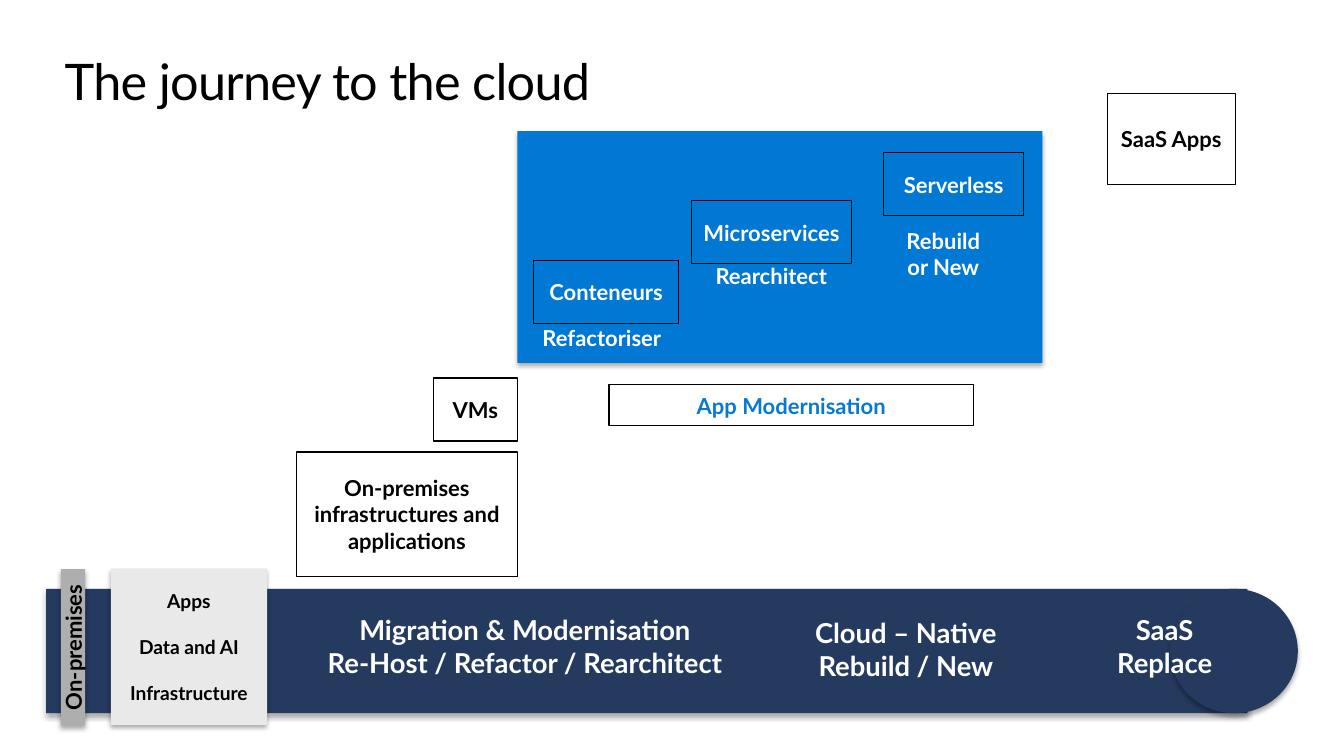
from pptx import Presentation
from pptx.dml.color import RGBColor
from pptx.enum.shapes import MSO_SHAPE
from pptx.enum.text import MSO_ANCHOR, PP_ALIGN
from pptx.oxml import parse_xml
from pptx.oxml.ns import nsdecls, qn
from pptx.util import Inches, Pt

RECT, CIRCLE = MSO_SHAPE.RECTANGLE, MSO_SHAPE.FLOWCHART_CONNECTOR
LEFT, CENTER = PP_ALIGN.LEFT, PP_ALIGN.CENTER
TOP, MIDDLE = MSO_ANCHOR.TOP, MSO_ANCHOR.MIDDLE

BLACK = RGBColor(0x00, 0x00, 0x00)
WHITE = RGBColor(0xFF, 0xFF, 0xFF)
AZURE = RGBColor(0x00, 0x78, 0xD4)
LABEL_BLUE = RGBColor(0x07, 0x79, 0xD0)
NAVY = RGBColor(0x24, 0x3A, 0x5E)
GREY = RGBColor(0xAE, 0xAE, 0xAE)
PALE_GREY = RGBColor(0xE9, 0xE9, 0xE9)

COLUMNS, ROWS = 160, 90
STEP_HEIGHT = 7.5
BAND_TOP, BAND_HEIGHT = 70.1, 14.8
BODY, SMALL, LARGE, TITLE = 15.7, 13.7, 19.6, 36


class JourneySlide:
    """Draws on one blank slide; places are (column, row, columns, rows)."""

    font_name = "Lato"
    shadow_xml = (
        f'<a:outerShdw {nsdecls("a")} blurRad="44450" dist="27940" dir="5400000" '
        'algn="t" rotWithShape="0"><a:srgbClr val="000000">'
        '<a:alpha val="32000"/></a:srgbClr></a:outerShdw>'
    )

    def __init__(self, deck):
        self.column = deck.slide_width / COLUMNS
        self.row = deck.slide_height / ROWS
        self.slide = deck.slides.add_slide(deck.slide_layouts[6])

    def to_lengths(self, place):
        units = (self.column, self.row) * 2
        return [round(count * unit) for count, unit in zip(place, units)]

    def set_lines(self, frame, lines, size, color, align=CENTER, bold=True, gap=0):
        frame.word_wrap = True
        for index, line in enumerate(lines):
            paragraph = frame.paragraphs[0] if index == 0 else frame.add_paragraph()
            paragraph.text = line
            paragraph.alignment = align
            if index and gap:
                paragraph.space_before = Pt(gap)
            font = paragraph.font
            font.name, font.size, font.bold = self.font_name, Pt(size), bold
            font.color.rgb = color

    def inset(self, frame, side, vertical, anchor):
        frame.margin_left = frame.margin_right = Inches(side)
        frame.margin_top = frame.margin_bottom = Inches(vertical)
        frame.vertical_anchor = anchor

    def panel(self, place, fill, lines=(), kind=RECT, size=BODY, gap=0):
        """Filled shape with a soft shadow."""
        shape = self.slide.shapes.add_shape(kind, *self.to_lengths(place))
        shape.fill.solid()
        shape.fill.fore_color.rgb = fill
        shape.line.fill.background()
        shape.shadow.inherit = False
        effects = shape._element.spPr.find(qn("a:effectLst"))
        effects.append(parse_xml(self.shadow_xml))
        self.inset(shape.text_frame, 0, 0.05, MIDDLE)
        self.set_lines(shape.text_frame, lines, size, BLACK, gap=gap)
        return shape

    def outlined(self, place, caption, color=BLACK):
        shape = self.slide.shapes.add_shape(RECT, *self.to_lengths(place))
        shape.fill.background()
        shape.line.color.rgb = BLACK
        shape.line.width = Pt(0.85)
        shape.shadow.inherit = False
        self.inset(shape.text_frame, 0, 0.05, MIDDLE)
        self.set_lines(shape.text_frame, [caption], BODY, color)

    def label(self, place, lines, size=BODY, align=CENTER, anchor=TOP, side=0.1):
        """White text without a frame."""
        box = self.slide.shapes.add_textbox(*self.to_lengths(place))
        self.inset(box.text_frame, side, 0.05, anchor)
        self.set_lines(box.text_frame, lines, size, WHITE, align)

    def title(self, place, caption):
        box = self.slide.shapes.add_textbox(*self.to_lengths(place))
        self.inset(box.text_frame, 0, 0, TOP)
        self.set_lines(box.text_frame, [caption], TITLE, BLACK, LEFT, bold=False)
        run = box.text_frame.paragraphs[0].runs[0]
        run._r.get_or_add_rPr().set("spc", "-50")


def main():
    deck = Presentation()
    deck.slide_width, deck.slide_height = Inches(13.33), Inches(7.5)
    journey = JourneySlide(deck)

    journey.panel((61.6, 15.6, 62.5, 27.6), AZURE)
    journey.title((7.7, 6, 144.6, 7.3), "The journey to the cloud")

    journey.panel((5.5, BAND_TOP, 143, BAND_HEIGHT), NAVY)
    journey.panel((139.3, BAND_TOP, 15.2, BAND_HEIGHT), NAVY, kind=CIRCLE)
    on_premises = journey.panel((-0.6, 75.6, 18.6, 2.9), GREY, ["On-premises"])
    on_premises.rotation = 270
    journey.panel((13.2, 67.7, 18.6, 18.6), PALE_GREY,
                  ["Apps", "Data and AI", "Infrastructure"], size=SMALL, gap=16.4)

    stages = [
        (31.8, 73.4, 61.4, ["Migration & Modernisation",
                            "Re-Host / Refactor / Rearchitect"]),
        (90.5, 73.8, 34.7, ["Cloud – Native", "Rebuild / New"]),
        (128.2, 73.4, 20.9, ["SaaS", "Replace"]),
    ]
    for left, top, width, lines in stages:
        journey.label((left, top, width, 7), lines, LARGE, anchor=MIDDLE, side=0)

    journey.outlined((35.3, 53.8, 26.3, 14.8),
                     "On-premises infrastructures and applications")
    journey.outlined((51.6, 45, 10, STEP_HEIGHT), "VMs")
    journey.outlined((131.8, 11.1, 15.3, 10.9), "SaaS Apps")

    modern_steps = [
        (63.5, 31, 17.3, "Conteneurs"),
        (82.3, 23.9, 19.1, "Microservices"),
        (105.2, 18.2, 16.7, "Serverless"),
    ]
    for left, top, width, caption in modern_steps:
        journey.outlined((left, top, width, STEP_HEIGHT), caption, WHITE)

    journey.label((63.4, 38, 17.3, 4.3), ["Refactoriser"], align=LEFT)
    journey.label((84, 30.7, 16.3, 4.3), ["Rearchitect"], align=LEFT)
    journey.label((106.2, 26.5, 12.2, 7.6), ["Rebuild", "or New"])
    journey.outlined((72.5, 45.8, 43.4, 4.9), "App Modernisation", LABEL_BLUE)

    deck.save("out.pptx")


if __name__ == "__main__":
    main()
